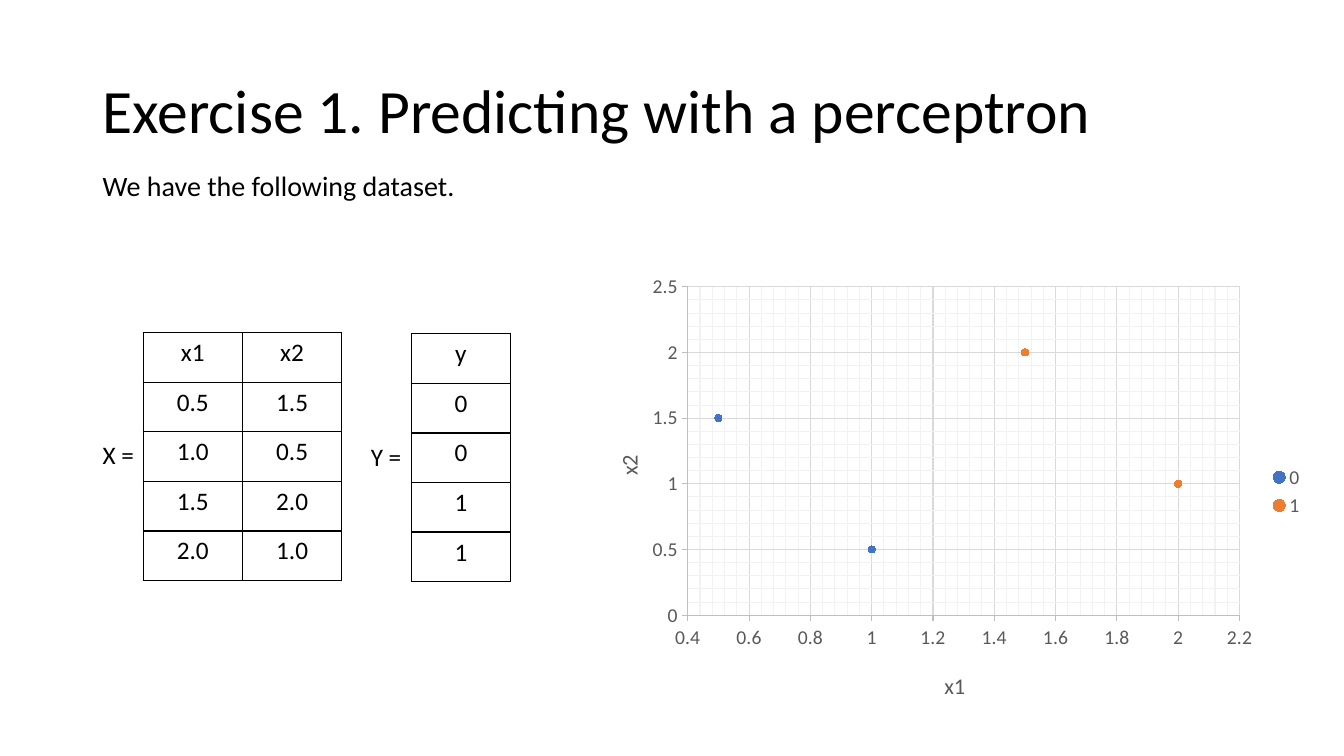
from copy import deepcopy

from lxml import etree
from pptx import Presentation, util as u
from pptx.chart.data import XyChartData
from pptx.dml.color import RGBColor
from pptx.enum import chart as charts, text
from pptx.oxml import parse_xml
from pptx.oxml.ns import qn

WIDTH, HEIGHT = u.Inches(13.33), u.Inches(7.5)
CELL_WIDTH, CELL_HEIGHT = u.Inches(0.985), u.Inches(0.492)
FONT = "Calibri"
COLORS = {
    "ink": "000000", "label": "595959", "axis": "BFBFBF",
    "grid": "D9D9D9", "fine grid": "F2F2F2", "0": "4472C4", "1": "ED7D31",
}
FEATURES = [(0.5, 1.5), (1.0, 0.5), (1.5, 2.0), (2.0, 1.0)]
CLASSES = [0, 0, 1, 1]


def color(name):
    return RGBColor.from_string(COLORS[name])


def set_font(font, size, name="ink"):
    font.name, font.size, font.bold = FONT, u.Pt(size), False
    font.color.rgb = color(name)


def set_line(line, name, width=0.75):
    line.color.rgb = color(name)
    line.width = u.Pt(width)


def share(x, y):
    """Turn shares of the slide into lengths."""
    return int(WIDTH * x), int(HEIGHT * y)


def add_label(page, words, place, extent, size, anchor=text.MSO_ANCHOR.TOP):
    box = page.shapes.add_textbox(*share(*place), *share(*extent))
    frame = box.text_frame
    frame.word_wrap = True
    frame.vertical_anchor = anchor
    para = frame.paragraphs[0]
    para.text = words
    set_font(para.font, size)
    return para


def add_borders(cell):
    properties = cell._tc.get_or_add_tcPr()
    for position, side in enumerate(("lnL", "lnR", "lnT", "lnB")):
        line = etree.Element(qn(f"a:{side}"), w=str(u.Pt(1)))
        fill = etree.SubElement(line, qn("a:solidFill"))
        etree.SubElement(fill, qn("a:srgbClr"), val=COLORS["ink"])
        properties.insert(position, line)


def add_matrix(page, rows, place):
    row_count, column_count = len(rows), len(rows[0])
    frame = page.shapes.add_table(
        row_count, column_count, *share(*place),
        CELL_WIDTH * column_count, CELL_HEIGHT * row_count)
    table = frame.table
    table.first_row = table.horz_banding = False
    for column in table.columns:
        column.width = CELL_WIDTH
    for row, values in zip(table.rows, rows):
        row.height = CELL_HEIGHT
        for cell, value in zip(row.cells, values):
            cell.fill.background()
            add_borders(cell)
            para = cell.text_frame.paragraphs[0]
            para.text = str(value)
            para.alignment = text.PP_ALIGN.CENTER
            set_font(para.font, 18)


def set_layout(element, index, inner=False, **shares):
    """Place a chart part by shares of the chart's size."""
    for old in element.findall(qn("c:layout")):
        element.remove(old)
    layout = parse_xml(
        '<c:layout xmlns:c="http://schemas.openxmlformats.org/'
        'drawingml/2006/chart"><c:manualLayout/></c:layout>')
    manual = layout[0]
    if inner:
        etree.SubElement(manual, qn("c:layoutTarget"), val="inner")
    for mode in ("xMode", "yMode"):
        etree.SubElement(manual, qn(f"c:{mode}"), val="edge")
    for key, value in shares.items():
        etree.SubElement(manual, qn(f"c:{key}"), val=str(value))
    element.insert(index, layout)


def style_gridlines(axis):
    axis.has_major_gridlines = axis.has_minor_gridlines = True
    set_line(axis.major_gridlines.format.line, "grid")
    major, minor = (axis._element.find(qn(f"c:{kind}Gridlines"))
                    for kind in ("major", "minor"))
    minor.append(deepcopy(major.find(qn("c:spPr"))))
    for fill in minor.iter(qn("a:srgbClr")):
        fill.set("val", COLORS["fine grid"])


def style_axis(axis, title, scale, title_place):
    axis.minimum_scale, axis.maximum_scale, axis.major_unit, axis.minor_unit = scale
    style_gridlines(axis)
    set_line(axis.format.line, "axis")
    axis.major_tick_mark = charts.XL_TICK_MARK.OUTSIDE
    axis.minor_tick_mark = charts.XL_TICK_MARK.NONE
    axis.tick_labels.number_format = "General"
    axis.tick_labels.number_format_is_linked = False
    set_font(axis.tick_labels.font, 14, "label")
    para = axis.axis_title.text_frame.paragraphs[0]
    para.text = title
    set_font(para.font, 16, "label")
    set_layout(axis.axis_title._element, 1, x=title_place[0], y=title_place[1])


def add_scatter(page, place, extent):
    data = XyChartData()
    for name in sorted(set(CLASSES)):
        group = data.add_series(str(name))
        for point, label in zip(FEATURES, CLASSES):
            if label == name:
                group.add_data_point(*point)
    chart = page.shapes.add_chart(
        charts.XL_CHART_TYPE.XY_SCATTER, *share(*place), *share(*extent), data).chart
    set_font(chart.font, 10)
    chart.has_title = False

    # Axes and plot area
    style_axis(chart.category_axis, "x1", (0.4, 2.2, 0.2, 0.04), (0.49, 0.89))
    style_axis(chart.value_axis, "x2", (0, 2.5, 0.5, 0.1), (0.04, 0.41))
    plot_area = chart._chartSpace.chart.plotArea
    set_layout(plot_area, 0, inner=True, x=0.146, y=0.046, w=0.752, h=0.729)

    # Legend
    chart.has_legend = True
    chart.legend.position = charts.XL_LEGEND_POSITION.RIGHT
    chart.legend.include_in_layout = False
    set_font(chart.legend.font, 14, "label")

    # Points of each class
    plot = chart.plots[0]
    plot.vary_by_categories = False
    for series in plot.series:
        series.format.line.fill.background()
        marker = series.marker
        marker.style, marker.size = charts.XL_MARKER_STYLE.CIRCLE, 5
        marker.format.fill.solid()
        marker.format.fill.fore_color.rgb = color(series.name)
        set_line(marker.format.line, series.name)


def main():
    deck = Presentation()
    deck.slide_width, deck.slide_height = WIDTH, HEIGHT
    page = deck.slides.add_slide(deck.slide_layouts[6])

    # Heading
    title = add_label(page, "Exercise 1. Predicting with a perceptron",
                      (0.069, 0.053), (0.863, 0.193), 44, text.MSO_ANCHOR.MIDDLE)
    title.line_spacing = 0.9
    add_label(page, "We have the following dataset.", (0.069, 0.217), (0.667, 0.059), 20)

    # Dataset
    add_label(page, "X =", (0.069, 0.575), (0.076, 0.053), 18)
    add_matrix(page, [("x1", "x2"), *FEATURES], (0.1065, 0.44))
    add_label(page, "Y =", (0.2685, 0.577), (0.076, 0.053), 18)
    add_matrix(page, [("y",), *((label,) for label in CLASSES)], (0.306, 0.4415))

    # Scatter chart
    add_scatter(page, (0.432, 0.352), (0.546, 0.596))
    deck.save("out.pptx")


if __name__ == "__main__":
    main()
